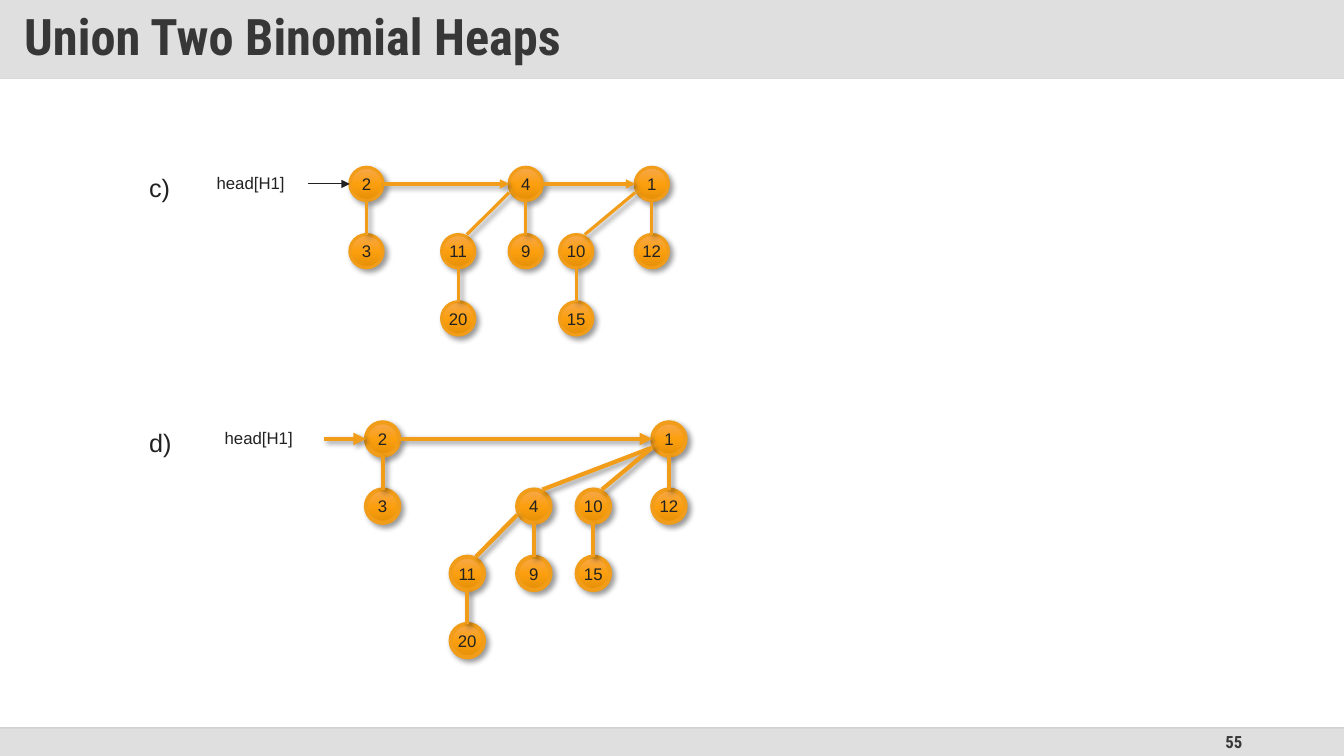
"""Build a slide showing two steps of the union of two binomial heaps."""
from copy import deepcopy

from lxml.etree import SubElement
from pptx import Presentation
from pptx.dml.color import RGBColor
from pptx.enum.shapes import MSO_CONNECTOR as Connector, MSO_SHAPE as Shape
from pptx.enum.text import MSO_ANCHOR as Anchor, MSO_AUTO_SIZE as AutoSize, PP_ALIGN as Align
from pptx.oxml import parse_xml
from pptx.oxml.ns import nsdecls, qn
from pptx.util import Inches, Pt

COLORS = {
    "ink": "212121", "heading": "373737", "band": "C0C0C0", "footer": "DFDFDF",
    "title_rule": "D9D9D9", "footer_rule": "BFBFBF", "edge": "F19D19",
    "node_top": "F5A84E", "node_middle": "FC9F0E", "node_bottom": "E58F07",
}
SHADOW = (
    f'<a:outerShdw {nsdecls("a")} blurRad="50800" dist="38100" dir="2700000" algn="tl" '
    'rotWithShape="0"><a:srgbClr val="000000"><a:alpha val="40000"/></a:srgbClr></a:outerShdw>'
)
NODE = 0.33
LEVEL = 0.667
HEAPS = [
    {
        "label": "c)", "top": 1.66, "weight": 2.25, "head_left": 2.05,
        "head_color": "ink", "head_weight": 0.75,
        "nodes": {"2": (3.47, 0), "4": (5.05, 0), "1": (6.3, 0), "3": (3.47, 1),
                  "11": (4.38, 1), "9": (5.05, 1), "10": (5.55, 1), "12": (6.3, 1),
                  "20": (4.38, 2), "15": (5.55, 2)},
        "roots": [("2", "4"), ("4", "1")],
        "children": [("2", "3"), ("4", "11"), ("4", "9"), ("11", "20"),
                     ("1", "10"), ("1", "12"), ("10", "15")],
    },
    {
        "label": "d)", "top": 4.19, "weight": 3, "head_left": 2.13,
        "head_color": "edge", "head_weight": 3,
        "nodes": {"2": (3.63, 0), "1": (6.47, 0), "3": (3.63, 1), "4": (5.13, 1),
                  "10": (5.72, 1), "12": (6.47, 1), "11": (4.47, 2), "9": (5.13, 2),
                  "15": (5.72, 2), "20": (4.47, 3)},
        "roots": [("2", "1")],
        "children": [("2", "3"), ("1", "4"), ("1", "10"), ("1", "12"),
                     ("4", "11"), ("4", "9"), ("11", "20"), ("10", "15")],
    },
]


def write_text(shape, text, size, color="ink", font="Arial", bold=False,
               align=Align.LEFT, anchor=Anchor.TOP, wrap=True):
    frame = shape.text_frame
    frame.text = text
    frame.word_wrap = wrap
    frame.vertical_anchor = anchor
    para = frame.paragraphs[0]
    para.alignment = align
    span = para.runs[0]
    for name, value in {"size": Pt(size), "name": font, "bold": bold}.items():
        setattr(span.font, name, value)
    span.font.color.rgb = RGBColor.from_string(COLORS[color])
    return frame


def draw_line(start, end, color, weight, arrow=False):
    line = page.shapes.add_connector(Connector.STRAIGHT, *map(Inches, start + end))
    line.line.color.rgb = RGBColor.from_string(COLORS[color])
    line.line.width = Pt(weight)
    if arrow:
        SubElement(line.line._ln, qn("a:tailEnd"), type="triangle")
    effects = SubElement(line._element.spPr, qn("a:effectLst"))
    if color == "edge":
        effects.append(parse_xml(SHADOW))
    return line


deck = Presentation()
deck.slide_width, deck.slide_height = Inches(13.33), Inches(7.5)
page = deck.slides.add_slide(deck.slide_layouts[5])

title = page.shapes.title
title.left, title.top, title.width, title.height = map(Inches, (0, 0, 13.33, 0.78))
title.fill.solid()
title.fill.fore_color.rgb = RGBColor.from_string(COLORS["band"])
frame = write_text(title, "Union Two Binomial Heaps", 36, "heading", "Roboto Condensed",
                   bold=True, anchor=Anchor.MIDDLE)
frame.auto_size = AutoSize.NONE
frame.margin_left = frame.margin_right = Inches(0.24)
frame.margin_top = frame.margin_bottom = Inches(0.12)
frame.paragraphs[0].line_spacing = 0.9

footer = page.shapes.add_shape(Shape.ROUNDED_RECTANGLE, *map(Inches, (0, 7.22, 13.33, 0.28)))
footer.adjustments[0] = 0
footer.shadow.inherit = False
footer.fill.solid()
footer.fill.fore_color.rgb = RGBColor.from_string(COLORS["footer"])
footer.line.fill.background()
number = page.shapes.add_textbox(*map(Inches, (9.42, 7.22, 3, 0.28)))
write_text(number, "55", 12, "heading", "Roboto Condensed", bold=True,
           align=Align.RIGHT, anchor=Anchor.MIDDLE)

draw_line((0, 0.78), (13.33, 0.78), "title_rule", 1)
footer_rule = draw_line((0, 7.22), (13.33, 7.22), "footer_rule", 1)
for shape, alpha in ((title, "50000"), (footer_rule, "70000")):
    color = shape._element.spPr.find(".//" + qn("a:srgbClr"))
    SubElement(color, qn("a:alpha"), val=alpha)

for heap in HEAPS:
    top, weight = heap["top"], heap["weight"]
    label = page.shapes.add_textbox(*map(Inches, (1.38, top, 0.67, 0.4)))
    write_text(label, heap["label"], 18)
    head = page.shapes.add_textbox(*map(Inches, (heap["head_left"], top, 1, 0.3)))
    write_text(head, "head[H1]", 12)

    places = {key: (left, top + level * LEVEL) for key, (left, level) in heap["nodes"].items()}
    for key, (left, node_top) in places.items():
        node = page.shapes.add_shape(Shape.OVAL, *map(Inches, (left, node_top, NODE, NODE)))
        node.fill.gradient()
        node.fill.gradient_angle = 270
        stops = node._element.spPr.find(".//" + qn("a:gsLst"))
        stops.append(deepcopy(stops[-1]))
        shades = ("node_top", "node_middle", "node_bottom")
        for index, (stop, shade) in enumerate(zip(node.fill.gradient_stops, shades)):
            stop.position = index / 2
            stop.color.rgb = RGBColor.from_string(COLORS[shade])
        node.line.color.rgb = RGBColor.from_string(COLORS["edge"])
        node.line.width = Pt(weight)
        node.shadow.inherit = False
        node._element.spPr.find(qn("a:effectLst")).append(parse_xml(SHADOW))
        write_text(node, key, 12, align=Align.CENTER, anchor=Anchor.MIDDLE, wrap=False)

    middle = top + NODE / 2
    first = places["2"][0]
    draw_line((first - 0.42, middle), (first, middle),
              heap["head_color"], heap["head_weight"], arrow=True)
    for source, target in heap["roots"]:
        draw_line((places[source][0] + NODE, middle), (places[target][0], middle),
                  "edge", weight, arrow=True)
    for parent, child in heap["children"]:
        (parent_left, parent_top), (child_left, child_top) = places[parent], places[child]
        if parent_left == child_left:
            center = parent_left + NODE / 2
            start, end = (center, parent_top + NODE), (center, child_top)
        else:
            start, end = (child_left + 0.25, child_top), (parent_left, parent_top + 0.25)
        draw_line(start, end, "edge", weight)

deck.save("out.pptx")
